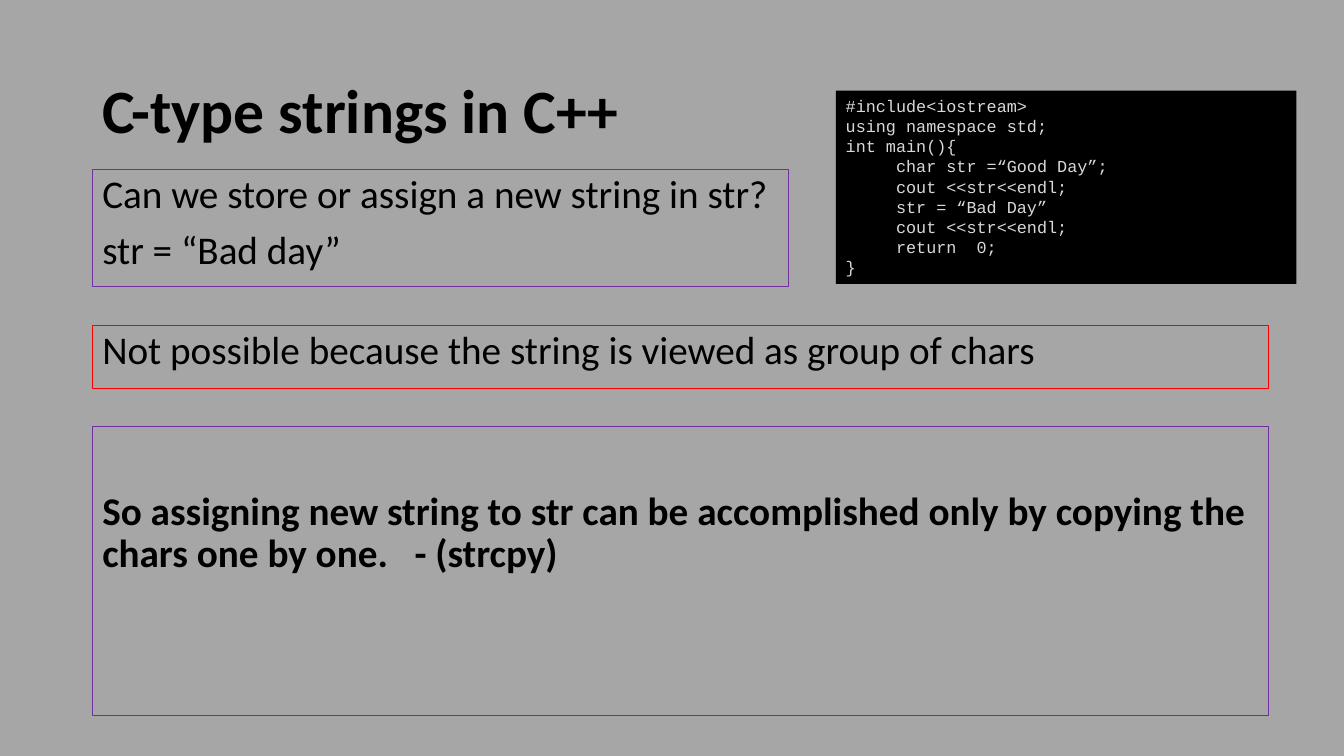
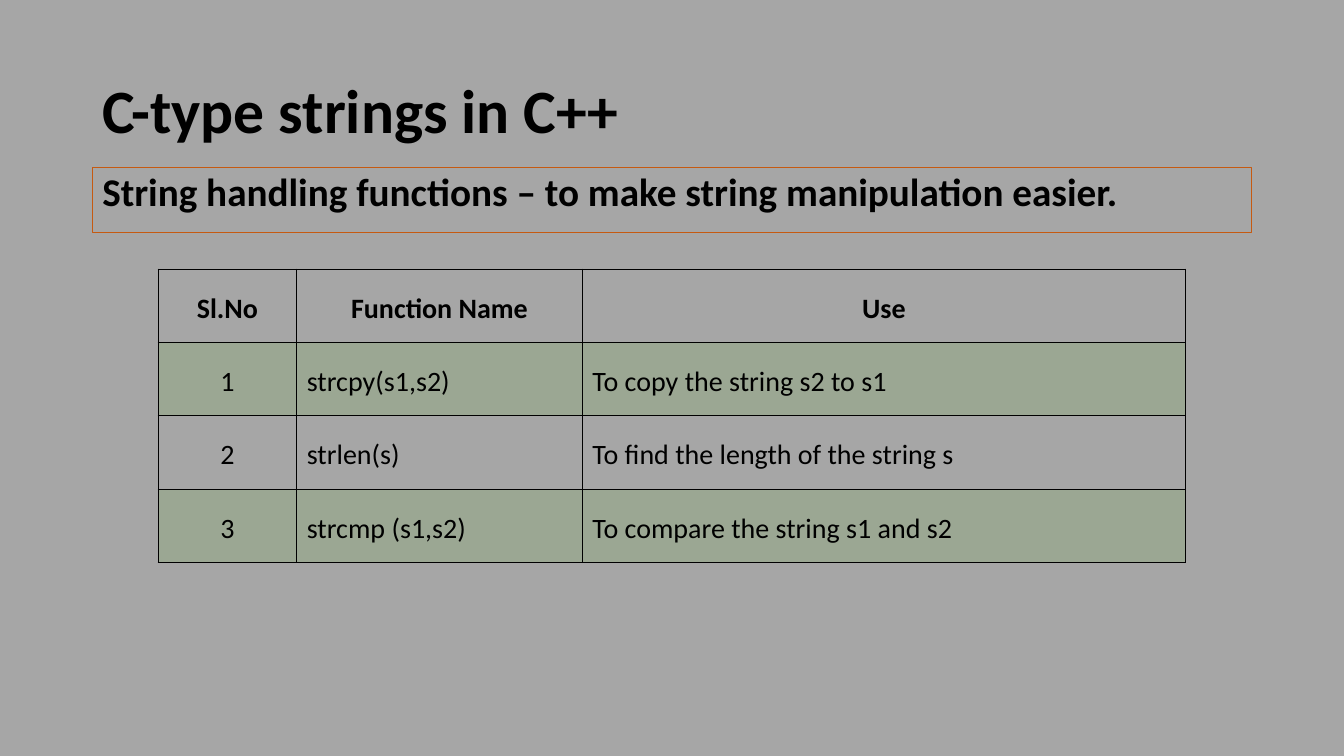
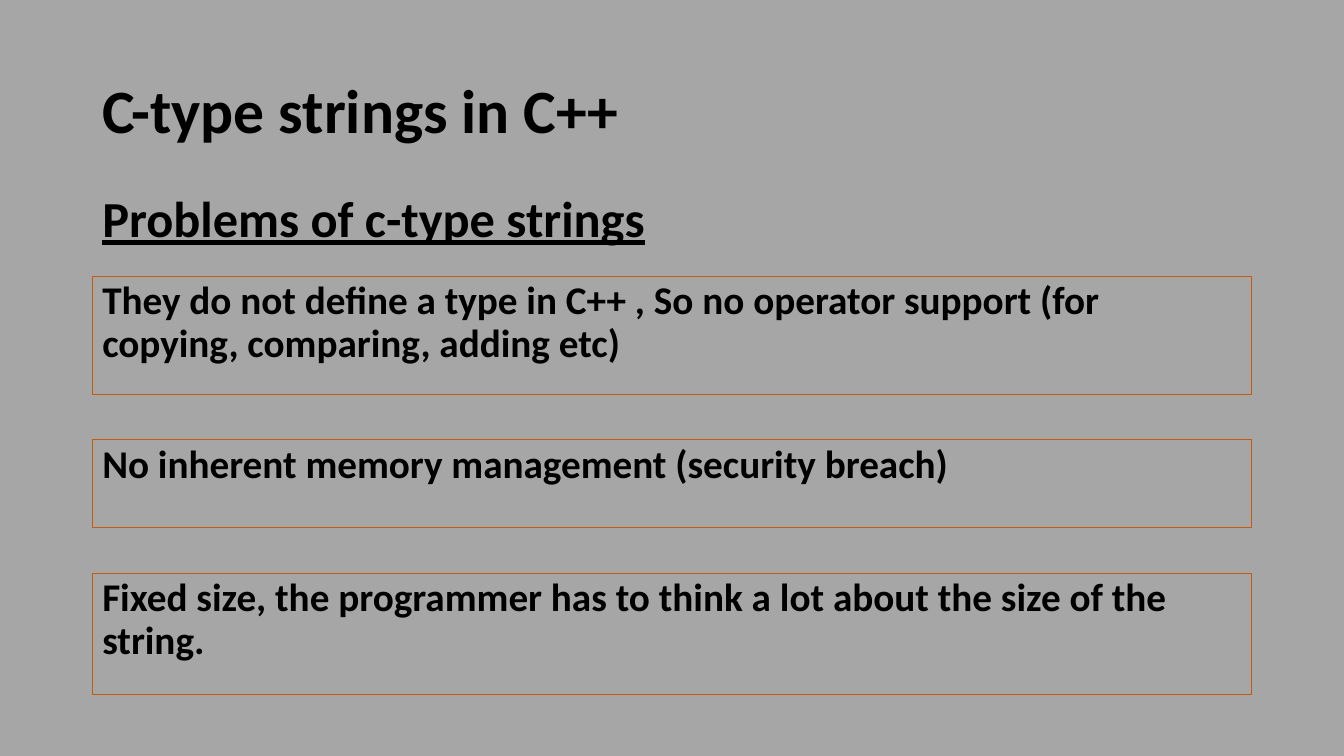
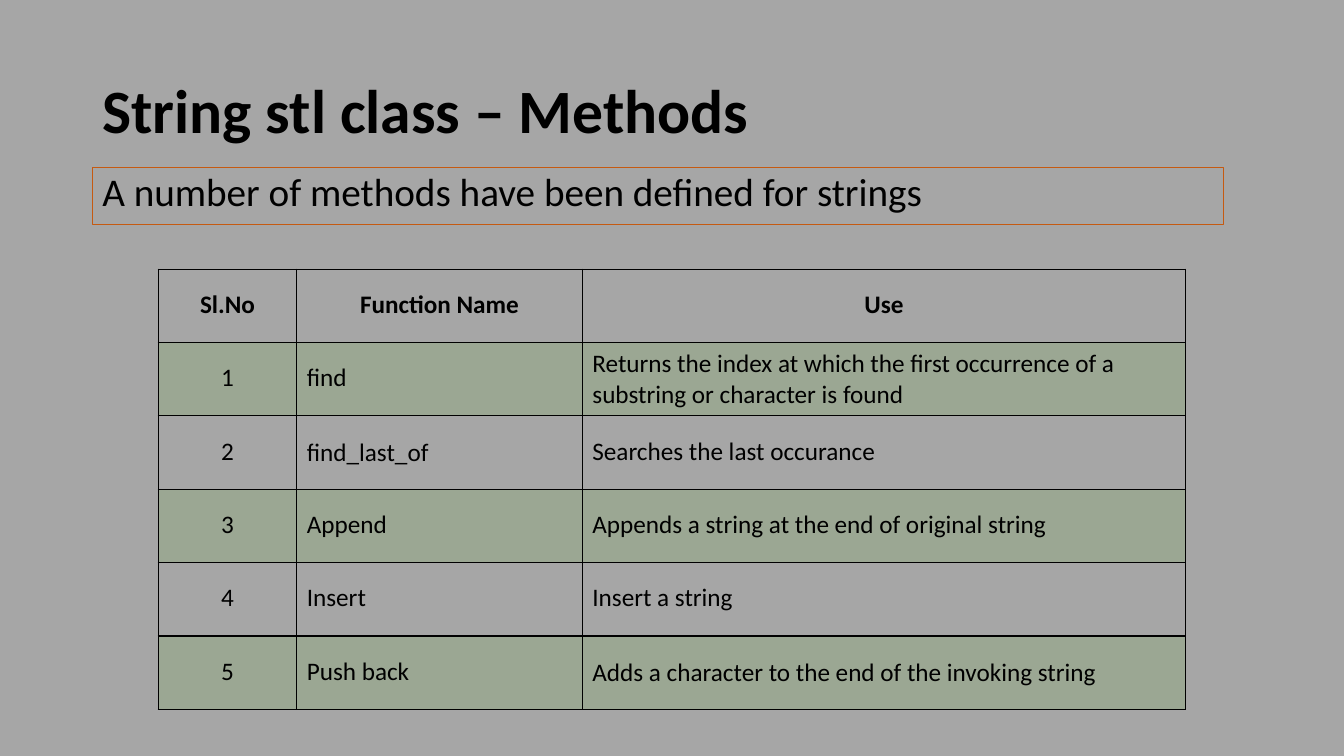
from dataclasses import dataclass
from typing import Optional

from lxml import etree
from pptx import Presentation
from pptx.dml.color import RGBColor
from pptx.enum.shapes import MSO_SHAPE as Shape
from pptx.enum.text import MSO_ANCHOR as Anchor, MSO_AUTO_SIZE as AutoSize, PP_ALIGN as Align
from pptx.oxml.ns import qn
from pptx.util import Pt

COLORS = {
    "background": "A6A6A6",
    "text": "000000",
    "code_fill": "000000",
    "code_text": "D9D9D9",
    "purple": "7030A0",
    "red": "FF0000",
    "orange": "C55A11",
    "band": "70AD47",
    "border": "000000",
}
BODY_FONT, CODE_FONT = "Calibri", "Courier New"
LEFT, WIDTH = 66, 828
TABLE_LEFT, TABLE_TOP, ROW_HEIGHT = 113, 192.3, 52.4
COLUMN_WIDTHS = (99, 204, 431)
HEADINGS = ("Sl.No", "Function Name", "Use")
BAND_OPACITY = 20


@dataclass
class TextStyle:
    size: float = 28
    font: str = BODY_FONT
    color: str = "text"
    bold: bool = False
    underline: bool = False
    spacing: float = 0.9
    before: float = 10


@dataclass
class Panel:
    top: float
    height: float
    lines: list[str]
    style: TextStyle
    left: float = LEFT
    width: float = WIDTH
    line: Optional[str] = None
    fill: Optional[str] = None
    inset_top: float = 3.6
    tab: Optional[float] = None


@dataclass
class Cell:
    text: str
    centered: bool = False
    bold: bool = False
    compact: bool = False


PLAIN = TextStyle()
BOLD = TextStyle(bold=True)
TITLE = TextStyle(size=44, bold=True)
SUBTITLE = TextStyle(size=36, bold=True, underline=True, spacing=1)
CODE = TextStyle(size=12, font=CODE_FONT, color="code_text", spacing=1, before=0)


def rgb(name: str) -> RGBColor:
    return RGBColor.from_string(COLORS[name])


# Text
def add_run(p, text: str, style: TextStyle) -> None:
    r = p.add_run()
    r.text = text
    r.font.size = Pt(style.size)
    r.font.name = style.font
    r.font.bold = style.bold
    r.font.underline = style.underline
    r.font.color.rgb = rgb(style.color)


def add_tab(p, position: float) -> None:
    tabs = etree.SubElement(p._p.get_or_add_pPr(), qn("a:tabLst"))
    etree.SubElement(tabs, qn("a:tab"), pos=str(Pt(position)), algn="l")


def write_lines(tf, lines: list[str], style: TextStyle, tab: Optional[float] = None) -> None:
    for i, line in enumerate(lines):
        p = tf.add_paragraph() if i else tf.paragraphs[0]
        if tab is not None:
            add_tab(p, tab)
        p.alignment = Align.LEFT
        p.line_spacing = style.spacing
        p.space_before = Pt(style.before if i else 0)
        add_run(p, line, style)


# Shared slide parts
def add_titled_slide(prs, title: str):
    slide = prs.slides.add_slide(prs.slide_layouts[5])
    sp = slide.shapes.title
    sp.left, sp.top, sp.width, sp.height = Pt(LEFT), Pt(28.8), Pt(WIDTH), Pt(104.4)
    tf = sp.text_frame
    tf.auto_size = AutoSize.NONE
    tf.vertical_anchor = Anchor.MIDDLE
    write_lines(tf, [title], TITLE)
    return slide


def add_panel(slide, panel: Panel) -> None:
    box = (Pt(panel.left), Pt(panel.top), Pt(panel.width), Pt(panel.height))
    if panel.line or panel.fill:
        sp = slide.shapes.add_shape(Shape.RECTANGLE, *box)
        sp.shadow.inherit = False
    else:
        sp = slide.shapes.add_textbox(*box)
    if panel.fill:
        sp.fill.solid()
        sp.fill.fore_color.rgb = rgb(panel.fill)
    else:
        sp.fill.background()
    if panel.line:
        sp.line.color.rgb = rgb(panel.line)
        sp.line.width = Pt(0.75)
    else:
        sp.line.fill.background()
    tf = sp.text_frame
    tf.word_wrap = True
    tf.vertical_anchor = Anchor.TOP
    tf.margin_top = Pt(panel.inset_top)
    write_lines(tf, panel.lines, panel.style, panel.tab)


# Tables
def set_borders(cell) -> None:
    tc_pr = cell._tc.get_or_add_tcPr()
    for i, side in enumerate(("lnL", "lnR", "lnT", "lnB")):
        ln = etree.Element(qn(f"a:{side}"), w=str(Pt(1)))
        fill = etree.SubElement(ln, qn("a:solidFill"))
        etree.SubElement(fill, qn("a:srgbClr"), val=COLORS["border"])
        tc_pr.insert(i, ln)


def fill_cell(cell, banded: bool) -> None:
    if not banded:
        cell.fill.background()
        return
    cell.fill.solid()
    cell.fill.fore_color.rgb = rgb("band")
    color = cell._tc.tcPr.find(qn("a:solidFill")).find(qn("a:srgbClr"))
    etree.SubElement(color, qn("a:alpha"), val=str(BAND_OPACITY * 1000))


def add_function_table(slide, entries: list[tuple[Cell, Cell]], size: float) -> None:
    rows = [[Cell(text, centered=True, bold=True) for text in HEADINGS]]
    rows += [[Cell(str(n), centered=True), *entry] for n, entry in enumerate(entries, 1)]
    table = slide.shapes.add_table(
        len(rows), len(HEADINGS), Pt(TABLE_LEFT), Pt(TABLE_TOP),
        Pt(sum(COLUMN_WIDTHS)), Pt(ROW_HEIGHT * len(rows))).table
    table.first_row = table.horz_banding = False
    for column, width in zip(table.columns, COLUMN_WIDTHS):
        column.width = Pt(width)
    for i, row in enumerate(rows):
        table.rows[i].height = Pt(ROW_HEIGHT)
        for j, item in enumerate(row):
            cell = table.cell(i, j)
            fill_cell(cell, banded=i % 2 == 1)
            set_borders(cell)
            cell.vertical_anchor = Anchor.MIDDLE if item.compact else Anchor.TOP
            p = cell.text_frame.paragraphs[0]
            p.alignment = Align.CENTER if item.centered else Align.LEFT
            p.line_spacing = 1.0 if item.compact else 1.5
            add_run(p, item.text, TextStyle(size=size, bold=item.bold))


# Slides
def build_assignment(prs) -> None:
    slide = add_titled_slide(prs, "C-type strings in C++")
    code = [
        "#include<iostream>",
        "using namespace std;",
        "int main(){",
        "     char str =“Good Day”;",
        "     cout <<str<<endl;",
        "     str = “Bad Day”",
        "     cout <<str<<endl;",
        "     return  0;",
        "}",
    ]
    for panel in (
        Panel(121, 83.5, ["Can we store or assign a new string in str?", "str = “Bad day”"],
              PLAIN, width=497.5, line="purple"),
        Panel(232.5, 44.8, ["Not possible because the string is viewed as group of chars"],
              PLAIN, width=840, line="red"),
        Panel(64.8, 138, code, CODE, left=597, width=329, fill="code_fill"),
        Panel(304.7, 206.5,
              ["So assigning new string to str can be accomplished only by copying the "
               "chars one by one.\t- (strcpy)"],
              BOLD, width=840, line="purple", inset_top=46.5, tab=223),
    ):
        add_panel(slide, panel)


def build_string_functions(prs) -> None:
    slide = add_titled_slide(prs, "C-type strings in C++")
    add_panel(slide, Panel(
        119.5, 46.4, ["String handling functions – to make string manipulation easier."],
        BOLD, line="orange"))
    add_function_table(slide, [
        (Cell("strcpy(s1,s2)"), Cell("To copy the string s2 to s1")),
        (Cell("strlen(s)"), Cell("To find the length of the string s")),
        (Cell("strcmp (s1,s2)"), Cell("To compare the string s1 and s2")),
    ], size=20)


def build_problems(prs) -> None:
    slide = add_titled_slide(prs, "C-type strings in C++")
    add_panel(slide, Panel(130.3, 51, ["Problems of c-type strings"], SUBTITLE, width=480))
    top, gap = 197.2, 32.3
    for height, text in (
        (84.6, "They do not define a type in C++ , So no operator support "
               "(for copying, comparing, adding etc)"),
        (63, "No inherent memory management (security breach)"),
        (86.8, "Fixed size, the programmer has to think a lot about the size of the string."),
    ):
        add_panel(slide, Panel(top, height, [text], BOLD, line="orange"))
        top += height + gap


def build_methods(prs) -> None:
    slide = add_titled_slide(prs, "String stl class – Methods")
    add_panel(slide, Panel(
        119.5, 40.8, ["A number of methods have been defined for strings"],
        PLAIN, width=808, line="orange"))
    add_function_table(slide, [
        (Cell("find"), Cell("Returns the index at which the first occurrence of a "
                            "substring or character is found", compact=True)),
        (Cell("find_last_of", compact=True), Cell("Searches the last occurance")),
        (Cell("Append"), Cell("Appends a string at the end of original string")),
        (Cell("Insert"), Cell("Insert a string")),
        (Cell("Push back"),
         Cell("Adds a character to the end of the invoking string", compact=True)),
    ], size=18)


def main() -> None:
    prs = Presentation()
    prs.slide_width, prs.slide_height = Pt(960), Pt(540)
    background = prs.slide_master.background.fill
    background.solid()
    background.fore_color.rgb = rgb("background")
    for build in (build_assignment, build_string_functions, build_problems, build_methods):
        build(prs)
    prs.save("out.pptx")


if __name__ == "__main__":
    main()
